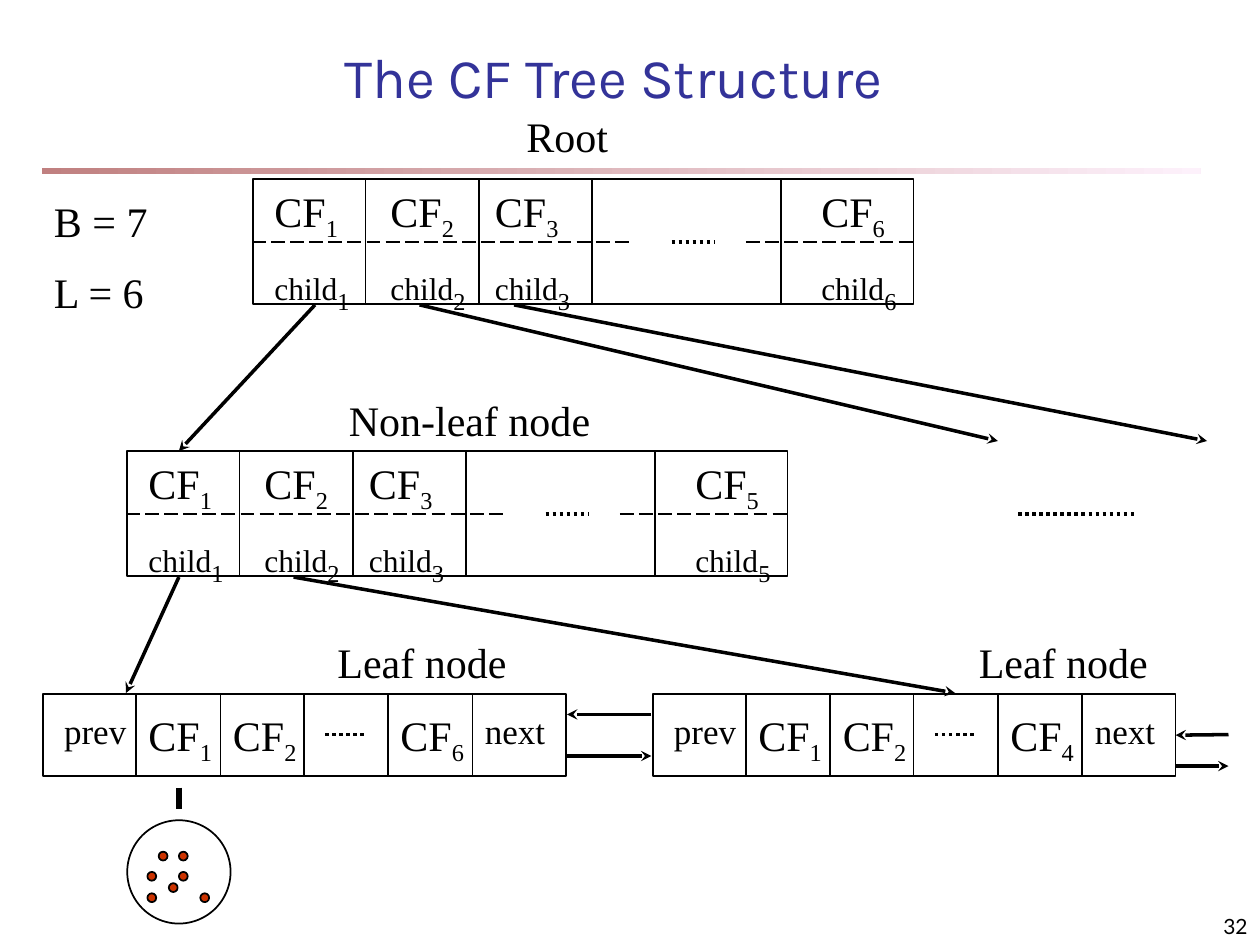
"""Build the CF tree structure slide."""
from pptx import Presentation
from pptx.dml.color import RGBColor
from pptx.enum.dml import MSO_LINE
from pptx.enum.shapes import MSO_CONNECTOR, MSO_SHAPE
from pptx.enum.text import MSO_ANCHOR, PP_ALIGN
from pptx.oxml.ns import qn
from pptx.util import Inches, Pt
from lxml import etree

LINE, RECT, OVAL = MSO_CONNECTOR.STRAIGHT, MSO_SHAPE.RECTANGLE, MSO_SHAPE.OVAL
DASH, DOTS = MSO_LINE.LONG_DASH, MSO_LINE.ROUND_DOT
BOTTOM, CENTER, RIGHT = MSO_ANCHOR.BOTTOM, PP_ALIGN.CENTER, PP_ALIGN.RIGHT
BLACK, BLUE = RGBColor(0, 0, 0), RGBColor(0x33, 0x33, 0x99)
RED = RGBColor(0xCC, 0x33, 0x00)
FADE = RGBColor(0xC0, 0x80, 0x80), RGBColor(0xFD, 0xF1, 0xFB)
SERIF = "Times New Roman"

TITLE = "The CF Tree Structure"
NODES = [(2, 1.42, "1236"), (1, 3.58, "1235")]
NODE_BARS, NODE_COLS = (0.9, 1.8, 2.7, 4.2), (0.08, 1, 1.83, 4.42)
LEAVES = [(0.33, "126"), (5.17, "124")]
LEAF_BARS, LEAF_COLS = (0.75, 1.42, 2.08, 2.75, 3.42), (0.75, 1.42, 2.75)
LEAF_TOP = 5.5
LABELS = [
    ("Root", 4.08, 0.83, 1.08),
    ("Non-leaf node", 2.67, 3.08, 2.17),
    ("Leaf node", 2.58, 5, 1.58),
    ("Leaf node", 7.67, 5, 1.58),
]
LIMITS = ["B = 7", "L = 6"]
ARROWS = [
    (2.5, 2.42, 1.42, 3.58), (3.33, 2.42, 7.92, 3.5), (4.08, 2.42, 9.58, 3.5),
    (1.42, 4.58, 1, 5.5), (2.33, 4.58, 7.58, 5.5),
    (5.17, 5.67, 4.5, 5.67), (4.5, 6, 5.17, 6), (9.33, 6.08, 9.75, 6.08),
]
POINTS = [(1.26, 6.76), (1.42, 6.92), (1.42, 6.76), (1.17, 7.09),
          (1.17, 6.92), (1.34, 7.01), (1.59, 7.09)]


def inch(*nums):
    return [Inches(n) for n in nums]


def style(obj, **vals):
    for name, val in vals.items():
        setattr(obj, name, val)


def rule(home, x1, y1, x2, y2, width=1, dash=None, head=False):
    line = home.add_connector(LINE, *inch(x1, y1, x2, y2))
    line.line.color.rgb = BLACK
    style(line.line, width=Pt(width), dash_style=dash)
    if head:
        etree.SubElement(line.line._get_or_add_ln(), qn("a:tailEnd"), type="stealth")
    etree.SubElement(line._element.spPr, qn("a:effectLst"))
    return line


def shape(home, kind, x, y, wide, high, fill=None):
    item = home.add_shape(kind, *inch(x, y, wide, high))
    item.shadow.inherit = False
    item.line.color.rgb = BLACK
    item.line.width = Pt(1)
    if fill is None:
        item.fill.background()
    else:
        item.fill.solid()
        item.fill.fore_color.rgb = fill
    return item


def write(para, text, size, face=SERIF, color=BLACK):
    run = para.add_run()
    run.text = text
    style(run.font, size=Pt(size), name=face)
    run.font.color.rgb = color
    return run


def label(home, text, x, y, wide, high=0.5, size=24, sub="", face=SERIF):
    frame = home.add_textbox(*inch(x, y, wide, high)).text_frame
    frame.word_wrap = True
    para = frame.paragraphs[0]
    write(para, text, size, face)
    if sub:
        low = write(para, sub, 24, face)
        low._r.get_or_add_rPr().set("baseline", "-25000")
    return frame


def node(home, x, y, subs):
    shape(home, RECT, x + 0.01, y, 5.24, 0.99)
    for bar in NODE_BARS:
        rule(home, x + bar, y, x + bar, y + 1)
    mid = y + 0.5
    for start, end in ((0, 3), (3.92, 5.25)):
        rule(home, x + start, mid, x + end, mid, dash=DASH)
    rule(home, x + 3.33, mid, x + 3.67, mid, 2, DOTS)
    for col, sub in zip(NODE_COLS, subs):
        label(home, "CF", x + col, y, 0.75, sub=sub)
        label(home, "child", x + col, y + 0.58, 1, 0.4, 18, sub)


def leaf(home, x, subs):
    box = shape(home, RECT, x + 0.01, LEAF_TOP + 0.01, 4.15, 0.65)
    for bar in LEAF_BARS:
        rule(home, x + bar, LEAF_TOP, x + bar, LEAF_TOP + 0.67)
    rule(home, x + 2.25, 5.83, x + 2.58, 5.83, 2, DOTS)
    for col, sub in zip(LEAF_COLS, subs):
        label(home, "CF", x + col, 5.58, 0.75, sub=sub)
    for text, col in (("prev", 0.08), ("next", 3.42)):
        label(home, text, x + col, 5.58, 0.75, 0.43, 20)
    return box


def main():
    deck = Presentation()
    style(deck, slide_width=Inches(10), slide_height=Inches(7.5))
    slide = deck.slides.add_slide(deck.slide_layouts[5])
    home = slide.shapes

    band = shape(home, RECT, 0.33, 1.33, 9.2, 0.05)
    band.line.fill.background()
    band.fill.gradient()
    band.fill.gradient_angle = 0
    for stop, color, spot in zip(band.fill.gradient_stops, FADE, (0, 1)):
        stop.color.rgb = color
        stop.position = spot

    title = home.title
    left, top, wide, high = inch(0.74, 0.25, 8.26, 0.67)
    style(title, left=left, top=top, width=wide, height=high)
    title.text_frame.vertical_anchor = BOTTOM
    head = title.text_frame.paragraphs[0]
    head.alignment = CENTER
    write(head, TITLE, 32, "Karla", BLUE)

    for x, y, subs in NODES:
        node(home.add_group_shape().shapes, x, y, subs)
    boxes = [leaf(home, x, subs) for x, subs in LEAVES]
    for ends in ARROWS:
        rule(home, *ends, width=2, head=True)
    back = rule(home, 9.75, 5.83, 9.33, 5.83, 2, head=True)
    back.end_connect(boxes[1], 3)
    rule(home, 8.08, 4.08, 9, 4.08, 2, DOTS)

    for text, x, y, wide in LABELS:
        label(home, text, x, y, wide)
    limits = label(home, LIMITS[0], 0.33, 1.5, 1.17, 1.1)
    para = limits.add_paragraph()
    para.space_before = Pt(12)
    write(para, LIMITS[1], 24)

    group = home.add_group_shape().shapes
    for x, y in POINTS:
        shape(group, OVAL, x, y, 0.07, 0.07, RED)
    shape(group, OVAL, 1.01, 6.51, 0.82, 0.82)
    rule(home, 1.42, 6.25, 1.42, 6.42, 3)

    page = label(home, "32", 7.92, 7.08, 2.08, 0.42, 12, face="Lato")
    page.vertical_anchor = BOTTOM
    page.paragraphs[0].alignment = RIGHT
    deck.save("out.pptx")


if __name__ == "__main__":
    main()
